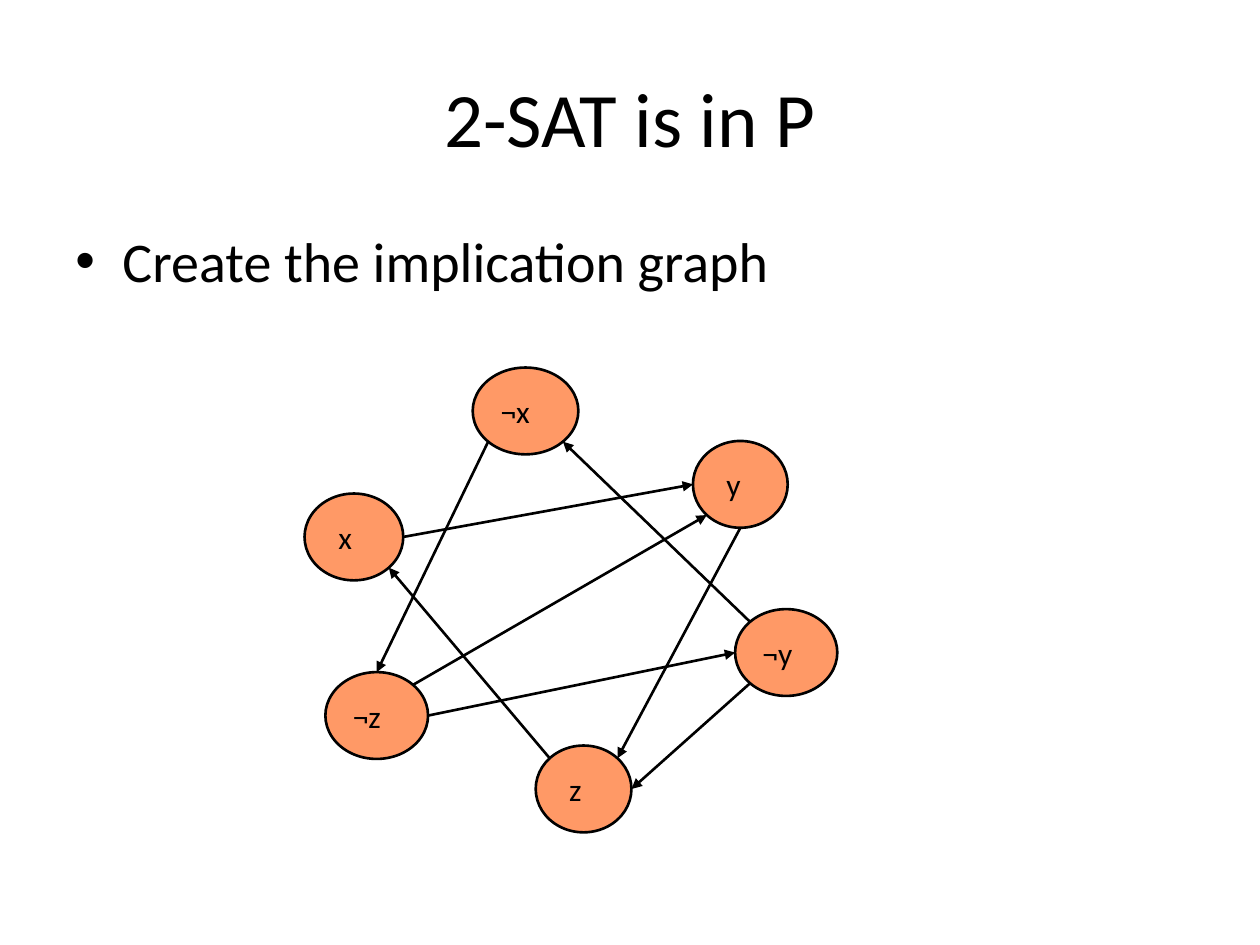
from dataclasses import dataclass
from math import cos, radians, sin

from lxml import etree
from pptx import Presentation
from pptx.dml.color import RGBColor
from pptx.enum.shapes import MSO_CONNECTOR, MSO_SHAPE
from pptx.enum.text import MSO_ANCHOR, MSO_AUTO_SIZE, PP_ALIGN
from pptx.oxml.ns import qn
from pptx.shapes.base import BaseShape
from pptx.slide import Slide
from pptx.util import Cm, Pt

ELLIPSE = MSO_SHAPE.OVAL
STRAIGHT = MSO_CONNECTOR.STRAIGHT
TOP, MIDDLE = MSO_ANCHOR.TOP, MSO_ANCHOR.MIDDLE
LEFT, CENTER = PP_ALIGN.LEFT, PP_ALIGN.CENTER
FIT_SHAPE, NO_FIT = MSO_AUTO_SIZE.SHAPE_TO_FIT_TEXT, MSO_AUTO_SIZE.NONE
BLANK_LAYOUT = 6
NODE_HEIGHT = 1.75
EAST, SOUTH_EAST, SOUTH, SOUTH_WEST = 0, 45, 90, 135
WEST, NORTH_WEST, NORTH, NORTH_EAST = 180, 225, 270, 315


@dataclass(frozen=True)
class Theme:
    font: str = "Calibri"
    ink: RGBColor = RGBColor(0x00, 0x00, 0x00)
    node_fill: RGBColor = RGBColor(0xFF, 0x99, 0x66)
    title_size: Pt = Pt(44)
    body_size: Pt = Pt(32)
    node_size: Pt = Pt(18)
    line_width: Pt = Pt(1.5)
    bullet_indent: Cm = Cm(0.95)


@dataclass(frozen=True)
class Node:
    label: str
    left: float
    top: float
    width: float

    def rim(self, angle: int) -> tuple[Cm, Cm]:
        x = self.left + self.width / 2 * (1 + cos(radians(angle)))
        y = self.top + NODE_HEIGHT / 2 * (1 + sin(radians(angle)))
        return Cm(x), Cm(y)


@dataclass(frozen=True)
class Implication:
    source: Node
    source_angle: int
    target: Node
    target_angle: int


THEME = Theme()
NOT_X = Node("¬x", 9.53, 7.41, 2.13)
Y = Node(" y", 13.97, 8.89, 1.91)
X = Node(" x", 6.14, 9.95, 1.99)
NOT_Z = Node("¬z", 6.56, 13.55, 2.07)
Z = Node(" z", 10.8, 15.03, 1.93)
NOT_Y = Node("¬y", 14.82, 12.28, 2.06)
NODES = (NOT_X, Y, X, NOT_Z, Z, NOT_Y)
IMPLICATIONS = (
    Implication(X, EAST, Y, WEST),
    Implication(NOT_Y, NORTH_WEST, NOT_X, SOUTH_EAST),
    Implication(NOT_Z, EAST, NOT_Y, WEST),
    Implication(Y, SOUTH, Z, NORTH_EAST),
    Implication(Z, NORTH_WEST, X, SOUTH_EAST),
    Implication(NOT_X, SOUTH_WEST, NOT_Z, NORTH),
    Implication(NOT_Z, NORTH_EAST, Y, SOUTH_WEST),
    Implication(NOT_Y, SOUTH_WEST, Z, EAST),
)


def write_text(shape: BaseShape, text: str, *, size: Pt, align: PP_ALIGN = LEFT,
               anchor: MSO_ANCHOR = MIDDLE, wrap: bool = True,
               fit: MSO_AUTO_SIZE = NO_FIT, bullet: str = "") -> None:
    frame = shape.text_frame
    frame.word_wrap = wrap
    frame.auto_size = fit
    frame.vertical_anchor = anchor
    paragraph = frame.paragraphs[0]
    paragraph.alignment = align
    run = paragraph.add_run()
    run.text = text
    run.font.name = THEME.font
    run.font.size = size
    run.font.color.rgb = THEME.ink
    if bullet:
        properties = paragraph._p.get_or_add_pPr()
        properties.set("marL", str(THEME.bullet_indent))
        properties.set("indent", str(-THEME.bullet_indent))
        etree.SubElement(properties, qn("a:buFont")).set("typeface", "Arial")
        etree.SubElement(properties, qn("a:buChar")).set("char", bullet)


def draw_node(slide: Slide, node: Node) -> None:
    shape = slide.shapes.add_shape(
        ELLIPSE, Cm(node.left), Cm(node.top), Cm(node.width), Cm(NODE_HEIGHT))
    shape.shadow.inherit = False
    shape.fill.solid()
    shape.fill.fore_color.rgb = THEME.node_fill
    shape.line.color.rgb = THEME.ink
    shape.line.width = THEME.line_width
    write_text(shape, node.label, size=THEME.node_size, wrap=False, fit=FIT_SHAPE)


def draw_implication(slide: Slide, implication: Implication) -> None:
    start = implication.source.rim(implication.source_angle)
    end = implication.target.rim(implication.target_angle)
    arrow = slide.shapes.add_connector(STRAIGHT, *start, *end)
    arrow.line.color.rgb = THEME.ink
    arrow.line.width = THEME.line_width
    etree.SubElement(arrow.line._get_or_add_ln(), qn("a:tailEnd")).set("type", "triangle")
    etree.SubElement(arrow._element.spPr, qn("a:effectLst"))


def main() -> None:
    presentation = Presentation()
    presentation.slide_width = Cm(25.4)
    presentation.slide_height = Cm(19.05)
    slide = presentation.slides.add_slide(presentation.slide_layouts[BLANK_LAYOUT])
    title = slide.shapes.add_textbox(Cm(1.27), Cm(0.76), Cm(22.86), Cm(3.18))
    write_text(title, "2-SAT is in P", size=THEME.title_size, align=CENTER)
    body = slide.shapes.add_textbox(Cm(1.27), Cm(4.45), Cm(22.86), Cm(12.57))
    write_text(body, "Create the implication graph", size=THEME.body_size,
               anchor=TOP, bullet="•")
    for node in NODES:
        draw_node(slide, node)
    for implication in IMPLICATIONS:
        draw_implication(slide, implication)
    presentation.save("out.pptx")


if __name__ == "__main__":
    main()
